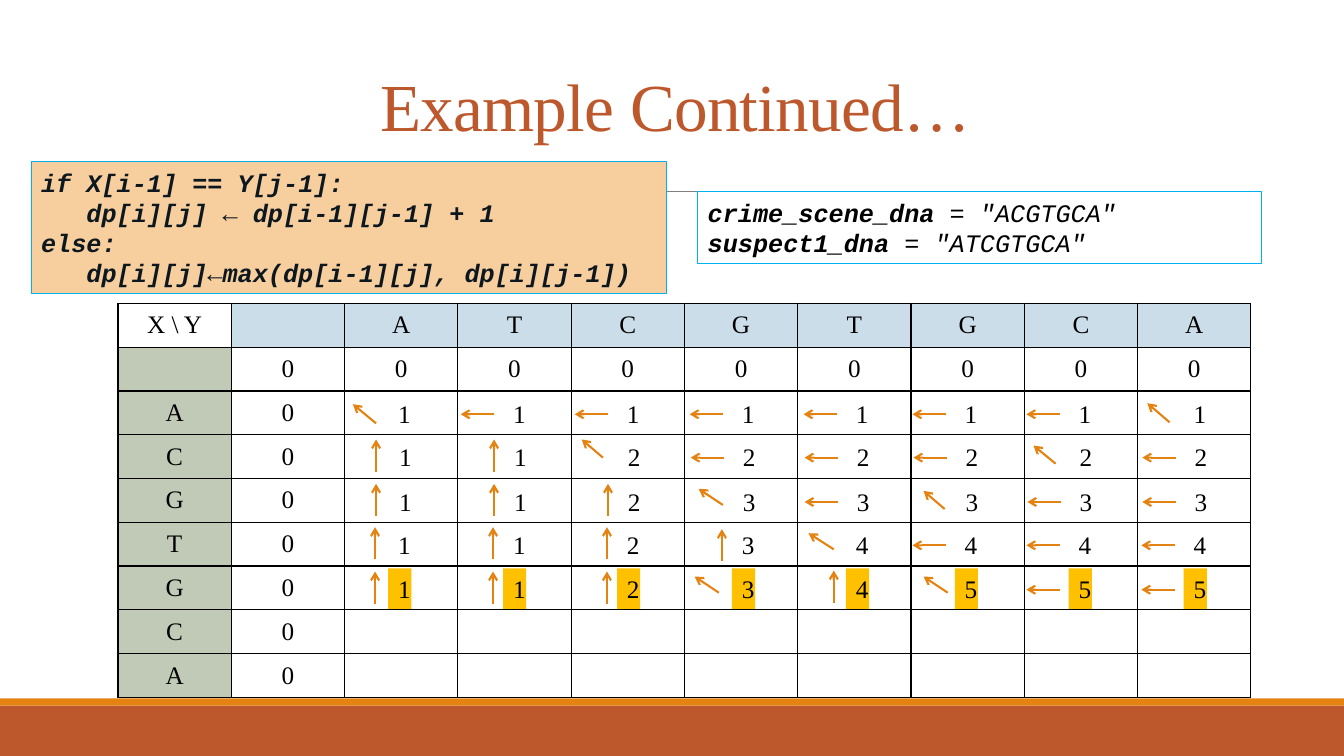
from dataclasses import dataclass

from lxml.etree import SubElement
from pptx import Presentation
from pptx.dml.color import RGBColor
from pptx.enum.shapes import MSO_CONNECTOR, MSO_SHAPE
from pptx.enum.text import MSO_ANCHOR, MSO_AUTO_SIZE, PP_ALIGN
from pptx.oxml.ns import qn
from pptx.util import Pt

SCALE = 9144  # EMU in one px, 100 px to the inch


@dataclass(frozen=True)
class Theme:
    rust: str = "BD582C"
    orange: str = "E48312"
    gray: str = "808080"
    black: str = "000000"
    white: str = "FFFFFF"
    ink: str = "0D171F"
    cyan: str = "00B0F0"
    peach: str = "F7CE9D"
    gold: str = "FFC000"
    blue: str = "CCDDEA"
    sage: str = "C1CAB6"
    serif: str = "Times New Roman"
    mono: str = "Courier New"
    head: int = 48
    body: int = 18


THEME = Theme()

# Strings compared
ROWS = "ACGTGCA"
COLS = "ATCGTGCA"

# Solved rows: the value and the arrow (L left, U up, D slanted) of each cell
SCORES = ["11111111", "11222222", "11233333", "11234444", "11234555"]
MARKS = ["DLLLLLLD", "UUDLLLDL", "UUUDLDLL", "UUUUDLLL", "UUUDUDLL"]
LEFTS = [385, 499, 612, 726, 839, 947, 1060, 1174]
STEMS = [372, 489, 602, 716, 827]
SHIFTS = [0, 1, 1, 0, 0]

# Arrows set by hand: (row, column) to start and end points
FREE = {
    (0, 0): (373, 420, 350, 401),
    (0, 7): (1160, 419, 1138, 400),
    (1, 2): (598, 454, 577, 436),
    (1, 6): (1047, 460, 1025, 442),
    (2, 3): (717, 501, 693, 485),
    (2, 5): (937, 505, 916, 487),
    (3, 3): (716, 557, 716, 525),
    (3, 4): (827, 545, 802, 529),
    (4, 3): (713, 588, 689, 572),
    (4, 4): (827, 598, 827, 566),
    (4, 5): (940, 588, 916, 572),
}


def px(*sizes):
    return [size * SCALE for size in sizes]


def rgb(code):
    return RGBColor.from_string(code)


def style(run, color, face=THEME.serif, size=THEME.body, bold=False, slant=False):
    font = run.font
    font.name, font.size = face, Pt(size)
    font.bold, font.italic = bold, slant
    font.color.rgb = rgb(color)


def add_box(slide, place, fill=None, edge=None):
    box = slide.shapes.add_shape(MSO_SHAPE.RECTANGLE, *px(*place))
    box.shadow.inherit = False
    if fill:
        box.fill.solid()
        box.fill.fore_color.rgb = rgb(fill)
    else:
        box.fill.background()
    if edge:
        box.line.color.rgb = rgb(edge)
        box.line.width = Pt(0.75)
    else:
        box.line.fill.background()
    return box


def add_line(slide, ends, color, width, arrow=False):
    line = slide.shapes.add_connector(MSO_CONNECTOR.STRAIGHT, *px(*ends))
    line.line.color.rgb = rgb(color)
    line.line.width = Pt(width)
    if arrow:
        SubElement(line.line._ln, qn("a:tailEnd"), type="arrow")
    SubElement(line._element.spPr, qn("a:effectLst"))


def add_title(slide, text):
    frame = slide.shapes.add_textbox(*px(120, 31, 1100, 159)).text_frame
    frame.word_wrap = True
    frame.vertical_anchor = MSO_ANCHOR.MIDDLE
    frame.text = text
    para = frame.paragraphs[0]
    para.alignment = PP_ALIGN.CENTER
    para.line_spacing = 0.85
    style(para.runs[0], THEME.rust, size=THEME.head)
    para.runs[0].font._element.set("spc", "-50")


def add_code(slide, place, lines, color, fill=None):
    """Each line is its indent, its bold part and its plain part."""
    frame = add_box(slide, place, fill, THEME.cyan).text_frame
    frame.word_wrap = True
    frame.auto_size = MSO_AUTO_SIZE.SHAPE_TO_FIT_TEXT
    frame.text = "\n".join(bold for _, bold, _ in lines)
    for para, (indent, _, plain) in zip(frame.paragraphs, lines):
        para.alignment = PP_ALIGN.JUSTIFY
        if indent:
            para._p.get_or_add_pPr().set("marL", str(indent * SCALE))
        style(para.runs[0], color, THEME.mono, bold=True, slant=True)
        if plain:
            run = para.add_run()
            run.text = plain
            style(run, color, THEME.mono, slant=True)


def set_cell(cell, text, fill):
    props = cell._tc.get_or_add_tcPr()
    for side in ("lnL", "lnR", "lnT", "lnB"):
        edge = SubElement(props, qn("a:" + side), w=str(Pt(1)))
        paint = SubElement(edge, qn("a:solidFill"))
        SubElement(paint, qn("a:srgbClr"), val=THEME.black)
    if fill:
        cell.fill.solid()
        cell.fill.fore_color.rgb = rgb(fill)
    else:
        cell.fill.background()
    cell.vertical_anchor = MSO_ANCHOR.MIDDLE
    cell.text = text
    para = cell.text_frame.paragraphs[0]
    para.alignment = PP_ALIGN.CENTER
    para.font.size = Pt(THEME.body)
    for run in para.runs:
        style(run, THEME.black)


def add_grid(slide):
    heads = ["X \\ Y", "", *COLS]
    sides = ["", *ROWS]
    wide, high = len(heads), len(sides) + 1
    place = px(117, 301, 1124, 391)
    table = slide.shapes.add_table(high, wide, *place).table
    table.first_row = table.horz_banding = False
    for col in table.columns:
        col.width = place[2] // wide
    for row in table.rows:
        row.height = place[3] // high
    for c, text in enumerate(heads):
        set_cell(table.cell(0, c), text, THEME.blue if c else None)
    for r, side in enumerate(sides, 1):
        zeros = wide - 1 if r == 1 else 1
        for c in range(wide):
            text = "0" if 0 < c <= zeros else "" if c else side
            set_cell(table.cell(r, c), text, None if c else THEME.sage)


def add_score(slide, text, left, top, fill):
    frame = add_box(slide, (left, top, 23, 40), fill).text_frame
    frame.word_wrap = True
    frame.auto_size = MSO_AUTO_SIZE.SHAPE_TO_FIT_TEXT
    frame.text = text
    frame.paragraphs[0].alignment = PP_ALIGN.CENTER
    style(frame.paragraphs[0].runs[0], THEME.black)


def add_scores(slide):
    for r, (scores, marks) in enumerate(zip(SCORES, MARKS)):
        top = 390 + 87 * r // 2
        fill = THEME.gold if r == len(SCORES) - 1 else THEME.white
        for c, (score, mark) in enumerate(zip(scores, marks)):
            left = LEFTS[c] + SHIFTS[r]
            add_score(slide, score, left, top, fill)
            if (r, c) in FREE:
                ends = FREE[r, c]
            elif mark == "L":
                ends = (left - 9, top + 21, left - 42, top + 21)
            else:
                stem = STEMS[c] + SHIFTS[r]
                ends = (stem, top + 35, stem, top + 3)
            add_line(slide, ends, THEME.orange, 1.5, arrow=True)


def main():
    deck = Presentation()
    deck.slide_width, deck.slide_height = px(1333, 750)
    slide = deck.slides.add_slide(deck.slide_layouts[6])

    # Footer bands, rule and title
    add_box(slide, (0, 700, 1333, 50), THEME.rust)
    add_box(slide, (0, 693, 1333, 7), THEME.orange)
    add_line(slide, (131, 190, 1221, 190), THEME.gray, 0.5)
    add_title(slide, "Example Continued…")

    # Inputs, table and recurrence
    add_code(slide, (692, 190, 559, 71), [
        (0, "crime_scene_dna ", "= \"ACGTGCA\""),
        (0, "suspect1_dna ", "= \"ATCGTGCA\""),
    ], THEME.black)
    add_grid(slide)
    add_code(slide, (31, 160, 630, 131), [
        (0, "if X[i-1] == Y[j-1]:", ""),
        (45, "dp[i][j] ← dp[i-1][j-1] + 1", ""),
        (0, "else:", ""),
        (45, "dp[i][j]←max(dp[i-1][j], dp[i][j-1])", ""),
    ], THEME.ink, THEME.peach)

    # Scores with their arrows
    add_scores(slide)
    deck.save("out.pptx")


if __name__ == "__main__":
    main()
